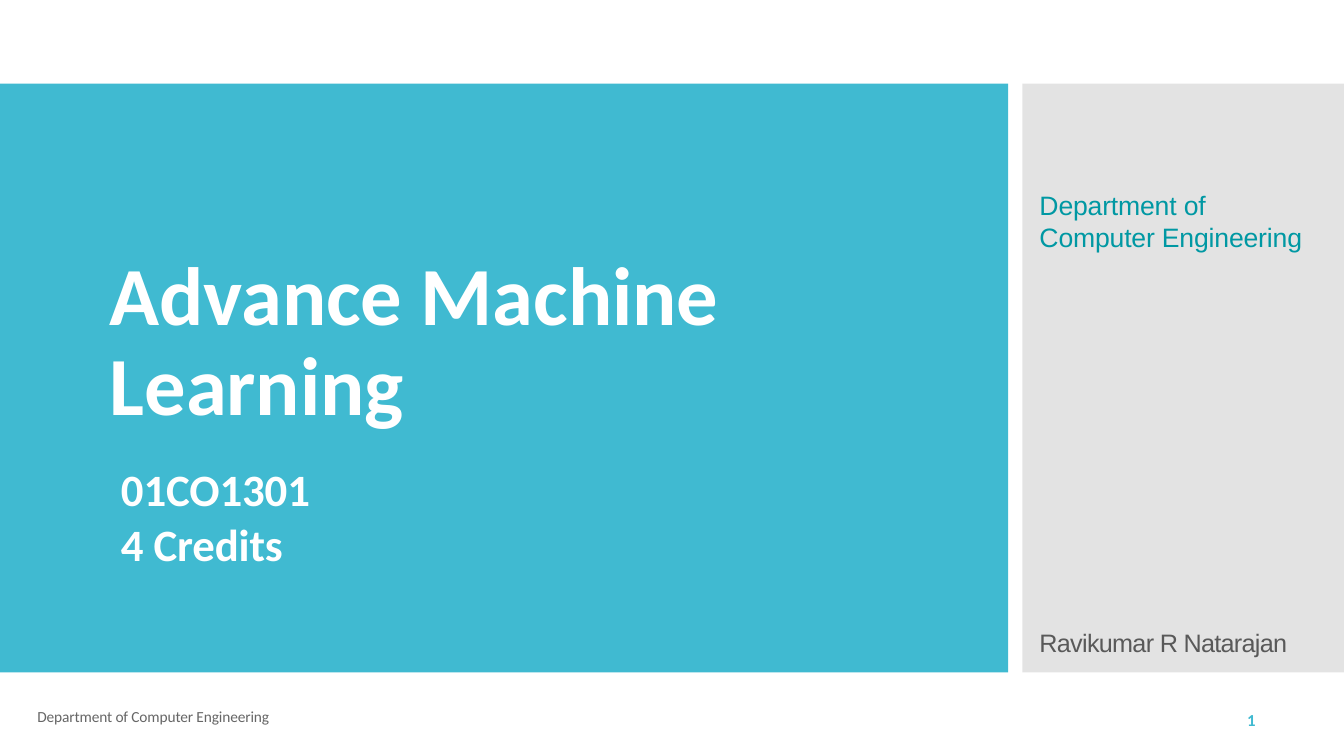
from lxml import etree
from pptx import Presentation
from pptx.dml.color import RGBColor
from pptx.enum.shapes import MSO_SHAPE
from pptx.enum.text import MSO_ANCHOR
from pptx.oxml.ns import qn
from pptx.util import Pt

RECTANGLE = MSO_SHAPE.RECTANGLE
TOP = MSO_ANCHOR.TOP
EMU_PER_PX = 9144  # 100 px to the inch

SANS, BODY = "Arial", "Calibri"
WHITE, TURQUOISE, SILVER = "FFFFFF", "40BAD1", "C8C8C8"
TEAL, DARK_GREY, MID_GREY = "0098A3", "595959", "666666"


def px(length):
    return length * EMU_PER_PX


def color(hex_string):
    return RGBColor.from_string(hex_string)


class CoverSlide:
    def __init__(self, presentation):
        self.slide = presentation.slides.add_slide(presentation.slide_layouts[6])
        background = self.slide.background.fill
        background.solid()
        background.fore_color.rgb = color(WHITE)

    def panel(self, left, top, width, height, fill, opacity=100):
        shape = self.slide.shapes.add_shape(
            RECTANGLE, px(left), px(top), px(width), px(height))
        shape.shadow.inherit = False
        shape.line.fill.background()
        shape.fill.solid()
        shape.fill.fore_color.rgb = color(fill)
        if opacity < 100:
            fill_color = shape.fill._xPr.find(qn("a:solidFill"))[0]
            alpha = etree.SubElement(fill_color, qn("a:alpha"))
            alpha.set("val", str(opacity * 1000))

    def text(self, left, top, width, height, lines, font, size, fill, bold=False,
             tracking=0, line_points=None, gap_points=0, inset_left=1, inset_top=0):
        """Write one paragraph per line; tracking is in hundredths of a point."""
        box = self.slide.shapes.add_textbox(px(left), px(top), px(width), px(height))
        frame = box.text_frame
        frame.word_wrap = True
        frame.vertical_anchor = TOP
        frame.margin_left, frame.margin_top = px(inset_left), px(inset_top)
        frame.margin_right = frame.margin_bottom = 0
        for index, line in enumerate(lines):
            paragraph = frame.add_paragraph() if index else frame.paragraphs[0]
            if index:
                paragraph.space_before = Pt(gap_points)
            if line_points:
                paragraph.line_spacing = Pt(line_points)
            run = paragraph.add_run()
            run.text = line
            run.font.name = font
            run.font.size = Pt(size)
            run.font.bold = bold
            run.font.color.rgb = color(fill)
            if tracking:
                run._r.get_or_add_rPr().set("spc", str(tracking))


def main():
    presentation = Presentation()
    presentation.slide_width, presentation.slide_height = px(1333), px(750)
    cover = CoverSlide(presentation)
    department = "Department of Computer Engineering"

    cover.panel(0, 83, 1000, 584, TURQUOISE)
    cover.panel(1014, 83, 319, 584, SILVER, opacity=50)

    cover.text(1030, 185, 275, 65, [department], SANS, 19, TEAL,
               tracking=-10, line_points=22.5, inset_top=3)
    cover.text(1030, 621, 296, 32, ["Ravikumar R Natarajan"], SANS, 18, DARK_GREY,
               tracking=-50, inset_top=1)
    cover.text(108, 233, 733, 192, ["Advance Machine Learning"], BODY, 59, WHITE,
               bold=True, tracking=-10, line_points=63.8, inset_top=18)
    cover.text(119, 457, 222, 111, ["01CO1301", "4 Credits"], BODY, 32, WHITE,
               bold=True, tracking=-10, gap_points=1, inset_top=1)
    cover.text(36, 704, 249, 18, [department], BODY, 11, MID_GREY,
               tracking=-10, line_points=11.4)
    cover.text(1233, 707, 26, 19, ["1"], BODY, 12, TURQUOISE,
               bold=True, line_points=12.3, inset_left=4)

    presentation.save("out.pptx")


if __name__ == "__main__":
    main()
